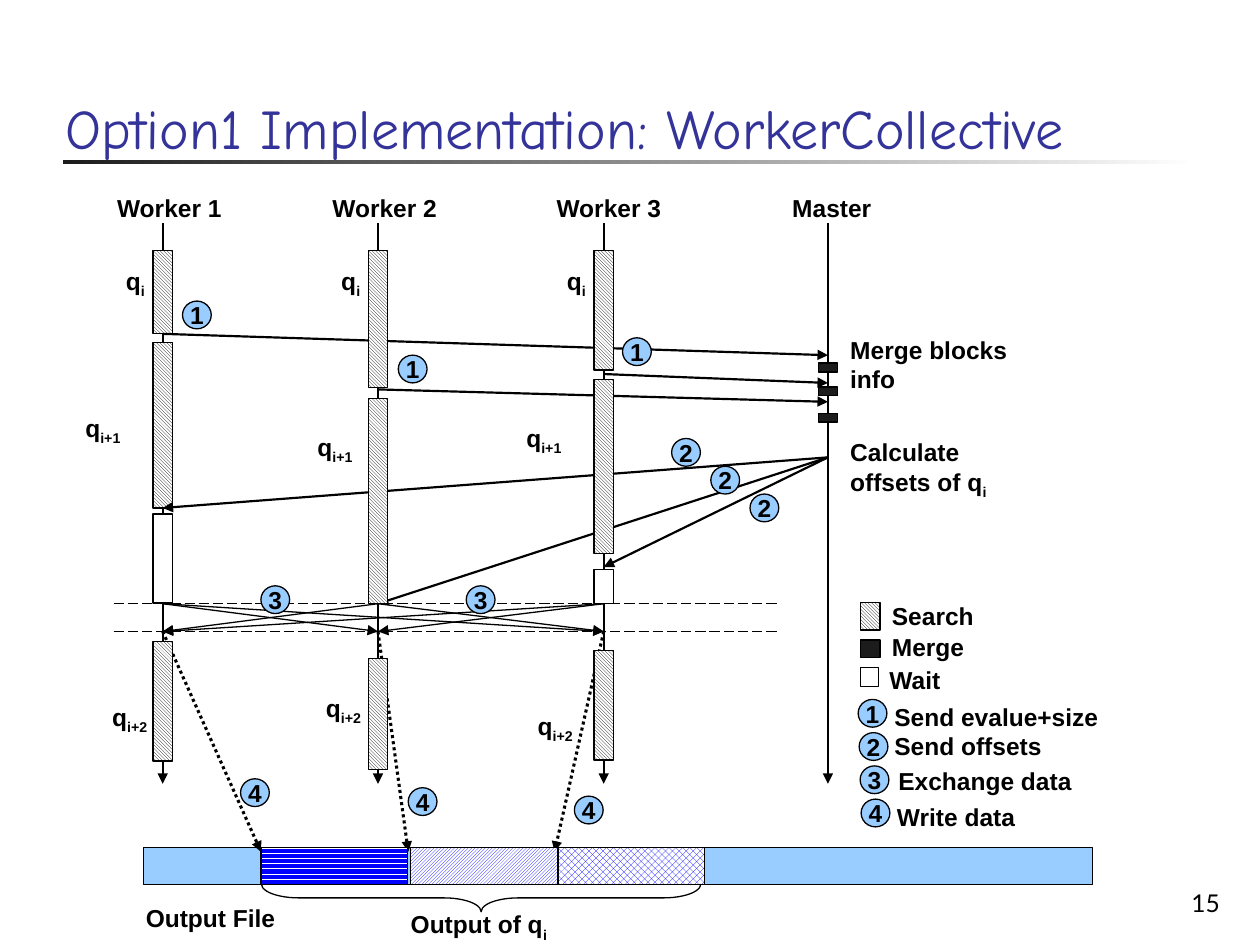
from itertools import permutations

from pptx import Presentation
from pptx import util as u
from pptx.dml.color import RGBColor
from pptx.enum import dml, shapes, text
from pptx.oxml import ns, xmlchemy

COLORS = {"ink": "000000", "title": "333399", "dark": "1C1C1C",
          "paper": "FFFFFF", "sky": "99CCFF", "blue": "0000FF"}
PATTERN = dml.MSO_PATTERN
SHAPE = shapes.MSO_SHAPE
DASH = dml.MSO_LINE


def color(name):
    return RGBColor.from_string(COLORS[name])


def write(p, content, sub="", font="Arial", size=14, bold=True, ink="ink"):
    """Add text to a paragraph, with an optional subscript at its end."""
    def run(value):
        r = p.add_run()
        r.text = value
        r.font.name, r.font.size, r.font.bold = font, u.Pt(size), bold
        r.font.color.rgb = color(ink)
        return r

    for i, line in enumerate(content.split("\n")):
        if i:
            p.add_line_break()
        run(line)
    if sub:
        run(sub).font._element.set("baseline", "-25000")


class Diagram:
    bar_w = 0.39
    badge_w, badge_h = 0.58, 0.56

    def __init__(self, slide):
        self.s = slide

    def label(self, x, y, content, w=3.1, h=0.84, align=None, bottom=False, **fmt):
        tb = self.s.shapes.add_textbox(u.Cm(x), u.Cm(y), u.Cm(w), u.Cm(h))
        tf = tb.text_frame
        tf.word_wrap = True
        if bottom:
            tf.vertical_anchor = text.MSO_ANCHOR.BOTTOM
        else:
            tf.auto_size = text.MSO_AUTO_SIZE.SHAPE_TO_FIT_TEXT
        p = tf.paragraphs[0]
        p.alignment = align
        write(p, content, **fmt)

    def shape(self, x, y, w, h, fill=None, pattern=None, kind=SHAPE.RECTANGLE):
        sp = self.s.shapes.add_shape(kind, u.Cm(x), u.Cm(y), u.Cm(w), u.Cm(h))
        sp.shadow.inherit = False
        sp.line.color.rgb = color("ink")
        sp.line.width = u.Pt(0.75)
        if pattern:
            sp.fill.patterned()
            sp.fill.pattern = pattern
            sp.fill.fore_color.rgb = color(fill)
            sp.fill.back_color.rgb = color("paper")
        elif fill:
            sp.fill.solid()
            sp.fill.fore_color.rgb = color(fill)
        else:
            sp.fill.background()
        return sp

    def search(self, x, y, h):
        self.shape(x, y, self.bar_w, h, "ink", PATTERN.DARK_DOWNWARD_DIAGONAL)

    def bar(self, lane, y, h, fill=None):
        """A time span centred on a lane; hatched unless a fill is given."""
        x = lane - self.bar_w / 2
        if fill:
            self.shape(x, y, self.bar_w, h, fill)
        else:
            self.search(x, y, h)

    def badge(self, x, y, number):
        sp = self.shape(x, y, self.badge_w, self.badge_h, "sky",
                        kind=SHAPE.FLOWCHART_CONNECTOR)
        tf = sp.text_frame
        tf.word_wrap = False
        tf.vertical_anchor = text.MSO_ANCHOR.MIDDLE
        p = tf.paragraphs[0]
        p.alignment = text.PP_ALIGN.CENTER
        write(p, str(number))

    def line(self, x1, y1, x2, y2, width=1.25, dash=None, arrow=True):
        c = self.s.shapes.add_connector(shapes.MSO_CONNECTOR.STRAIGHT,
                                        u.Cm(x1), u.Cm(y1), u.Cm(x2), u.Cm(y2))
        c.line.color.rgb = color("ink")
        c.line.width = u.Pt(width)
        if dash:
            c.line.dash_style = dash
        sp_pr = c._element.spPr
        if arrow:
            tail = xmlchemy.OxmlElement("a:tailEnd")
            tail.set("type", "triangle")
            sp_pr.find(ns.qn("a:ln")).append(tail)
        sp_pr.append(xmlchemy.OxmlElement("a:effectLst"))

    def rule(self, x, y, w, h):
        sp = self.shape(x, y, w, h)
        sp.line.fill.background()
        sp.fill.gradient()
        sp.fill.gradient_angle = 0
        for stop, name, position in zip(sp.fill.gradient_stops, ("dark", "paper"), (0, 1)):
            stop.color.rgb = color(name)
            stop.position = position


def main():
    prs = Presentation()
    prs.slide_width, prs.slide_height = u.Cm(25.4), u.Cm(19.05)
    d = Diagram(prs.slides.add_slide(prs.slide_layouts[6]))

    # Title, rule and page number
    d.rule(1.27, 3.23, 22.86, 0.08)
    d.label(1.07, 0.58, "Option1 Implementation: WorkerCollective", w=23.57, h=2.79,
            bottom=True, font="Comic Neue", size=32, bold=False, ink="title")
    d.label(19.56, 17.35, "15", w=5.28, h=1.27, bottom=True,
            align=text.PP_ALIGN.RIGHT, font="Lato", bold=False)

    # Lanes and their headings
    lanes = [3.28, 7.62, 12.17, 16.69]
    workers, master = lanes[:3], lanes[3]
    headings = [("Worker 1", 2.11), ("Worker 2", 6.45), ("Worker 3", 10.97), ("Master", 15.72)]
    for lane, (name, x) in zip(lanes, headings):
        d.line(lane, 4.5, lane, 15.8)
        d.label(x, 3.76, name)
    for y, h in [(5.05, 1.68), (6.91, 3.33)]:
        d.bar(workers[0], y, h)

    # Messages to the master and its replies
    for lane, sent, received in zip(workers, (6.73, 7.85, 7.54), (7.16, 8.1, 7.72)):
        d.line(lane, sent, master, received)
    for lane, y in zip(workers, (10.24, 12.17, 11.43)):
        d.line(master, 9.22, lane, y)

    # Output file, writes and the blocks of one query
    file_y, file_h, block_w = 17.09, 0.74, 2.96
    d.shape(2.9, file_y, 19.13, file_h, "sky")
    for lane, x in zip(workers, (5.26, 8.23, 11.18)):
        d.line(lane, 12.73, x, 17.17, 1.75, DASH.ROUND_DOT)
    for x, pattern in [(5.26, PATTERN.DARK_HORIZONTAL),
                       (8.28, PATTERN.DARK_UPWARD_DIAGONAL),
                       (11.25, PATTERN.LARGE_CHECKER_BOARD)]:
        d.shape(x, file_y, block_w, file_h, "blue", pattern)
    brace = d.shape(9.42, 13.67, 0.56, 8.86, kind=SHAPE.LEFT_BRACE)
    brace.rotation = 270
    brace.adjustments[0] = 1.34
    d.label(8.03, 18.21, "Output of q", w=3.76, sub="i")
    d.label(2.69, 18.08, "Output File", w=4.55)

    # Remaining search, wait and merge spans
    spans = [[(12.93, 2.41)],
             [(5.05, 2.77), (8.03, 4.14), (13.28, 2.24)],
             [(5.05, 2.41), (7.65, 3.51), (13.11, 2.21)]]
    for lane, bars in zip(workers, spans):
        for y, h in bars:
            d.bar(lane, y, h)
    d.bar(workers[0], 10.36, 1.8, "paper")
    d.bar(workers[2], 11.48, 0.69, "paper")
    for y in (7.32, 7.8, 8.33):
        d.bar(master, y, 0.18, "dark")

    # Data exchange between all workers
    start, end = 12.17, 12.73
    for y in (start, end):
        d.line(2.29, y, 15.72, y, 0.75, DASH.LONG_DASH, arrow=False)
    for a, b in permutations(workers, 2):
        d.line(a, start, b, end, 0.75)

    # Query labels and notes
    queries = {"i": [(2.29, 5.23), (6.63, 5.23), (11.18, 5.23)],
               "i+1": [(1.47, 8.2), (6.15, 8.59), (10.36, 8.41)],
               "i+2": [(2.01, 14.02), (6.32, 13.84), (10.59, 14.2)]}
    for sub, places in queries.items():
        for x, y in places:
            d.label(x, y, "q", w=1.6, sub=sub)
    d.label(16.89, 6.63, "Merge blocks\ninfo", w=3.9, h=1.45)
    d.label(16.89, 8.69, "Calculate\noffsets of q", w=3.9, h=1.45, sub="i")

    # Step badges
    steps = {1: [(3.68, 6.07), (8.03, 7.16), (12.55, 6.81)],
             2: [(13.54 + 0.79 * i, 8.84 + 0.56 * i) for i in range(3)],
             3: [(5.26, 11.81), (9.4, 11.81)],
             4: [(4.85, 15.7), (8.23, 15.88), (11.58, 16.05)]}
    for number, places in steps.items():
        for x, y in places:
            d.badge(x, y, number)

    # Legend
    d.search(17.35, 12.14, 0.56)
    d.shape(17.35, 12.9, d.bar_w, 0.36, "dark")
    d.shape(17.35, 13.46, 0.36, 0.38, "paper")
    for name, x, y in [("Search", 17.73, 11.99), ("Merge", 17.73, 12.62), ("Wait", 17.68, 13.28)]:
        d.label(x, y, name)
    actions = [("Send evalue+size", 17.78, 14.02), ("Send offsets", 17.78, 14.61),
               ("Exchange data", 17.86, 15.32), ("Write data", 17.83, 16.05)]
    for i, (name, x, y) in enumerate(actions):
        d.badge(17.3 + 0.02 * i, 14.1 + 0.67 * i, i + 1)
        d.label(x, y, name, w=6.1)

    prs.save("out.pptx")


if __name__ == "__main__":
    main()
